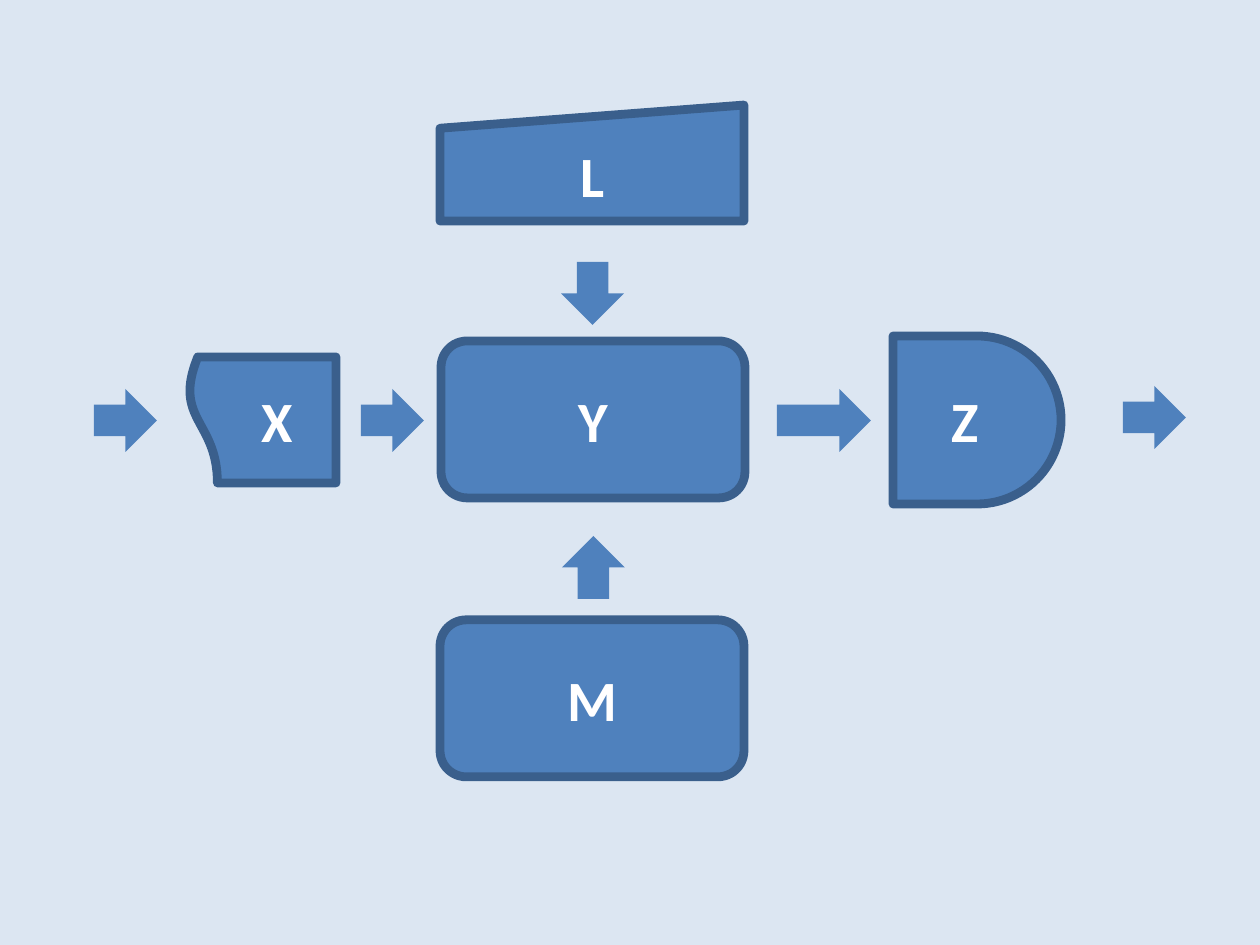
"""Build a slide of a block diagram: X feeds Y, L and M act on Y, Z follows."""
from dataclasses import dataclass

from pptx import Presentation
from pptx import util as u
from pptx.dml import color
from pptx.enum import shapes, text

PX = u.Inches(1) / 315
KIND = shapes.MSO_SHAPE


@dataclass(frozen=True)
class Theme:
    background: str = "DCE6F2"
    fill: str = "4F81BD"
    outline: str = "3A5F8C"
    letter: str = "FFFFFF"
    font: str = "Calibri"
    size: int = 13
    outline_width: int = 2


THEME = Theme()
SLIDE_SIZE = (1260, 945)
BLOCKS = [
    ("Z", KIND.FLOWCHART_DELAY, (893, 336, 168, 168), 0),
    ("Y", KIND.FLOWCHART_ALTERNATE_PROCESS, (441, 341, 304, 157), 0),
    ("M", KIND.FLOWCHART_ALTERNATE_PROCESS, (440, 620, 304, 157), 0),
    ("L", KIND.FLOWCHART_MANUAL_INPUT, (440, 105, 304, 116), 0),
    ("X", KIND.FLOWCHART_DOCUMENT, (199, 346, 126, 148), 90),
]
ARROW = 63
ARROWS = [
    (361, 389, ARROW, 0),
    (777, 389, 94, 0),
    (561, 262, ARROW, 90),
    (562, 536, ARROW, 270),
    (94, 389, ARROW, 0),
    (1123, 386, ARROW, 0),
]


def px(length):
    return u.Emu(round(length * PX))


def rgb(value):
    return color.RGBColor.from_string(value)


def add_part(slide, kind, box, turn):
    part = slide.shapes.add_shape(kind, *map(px, box))
    part.rotation = turn
    part.shadow.inherit = False
    part.fill.solid()
    part.fill.fore_color.rgb = rgb(THEME.fill)
    return part


def add_block(slide, letter, kind, box, turn):
    block = add_part(slide, kind, box, turn)
    block.line.color.rgb = rgb(THEME.outline)
    block.line.width = u.Pt(THEME.outline_width)
    frame = block.text_frame
    frame.word_wrap = True
    frame.vertical_anchor = text.MSO_ANCHOR.MIDDLE
    frame.margin_left = frame.margin_right = px(12)
    frame.margin_top = frame.margin_bottom = px(6)
    if turn:
        frame._txBody.bodyPr.set("vert", "vert270")
    label = frame.paragraphs[0]
    label.alignment = text.PP_ALIGN.CENTER
    run = label.add_run()
    run.text = letter
    run.font.name = THEME.font
    run.font.size = u.Pt(THEME.size)
    run.font.bold = True
    run.font.color.rgb = rgb(THEME.letter)


def main():
    deck = Presentation()
    deck.slide_width, deck.slide_height = map(px, SLIDE_SIZE)
    slide = deck.slides.add_slide(deck.slide_layouts[6])
    slide.background.fill.solid()
    slide.background.fill.fore_color.rgb = rgb(THEME.background)
    for block in BLOCKS:
        add_block(slide, *block)
    for left, top, length, turn in ARROWS:
        arrow = add_part(slide, KIND.RIGHT_ARROW, (left, top, length, ARROW), turn)
        arrow.line.fill.background()
    deck.save("out.pptx")


if __name__ == "__main__":
    main()
